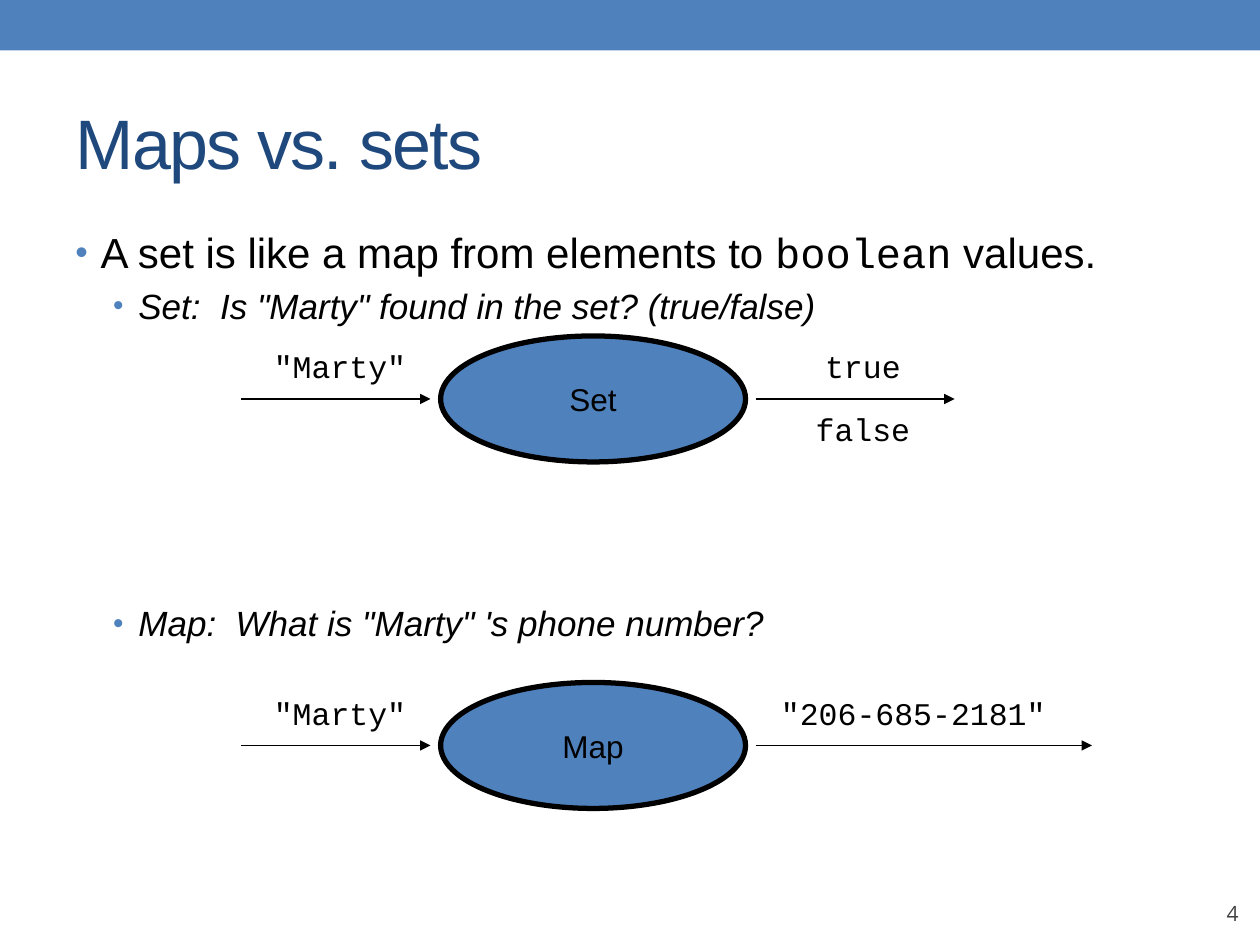
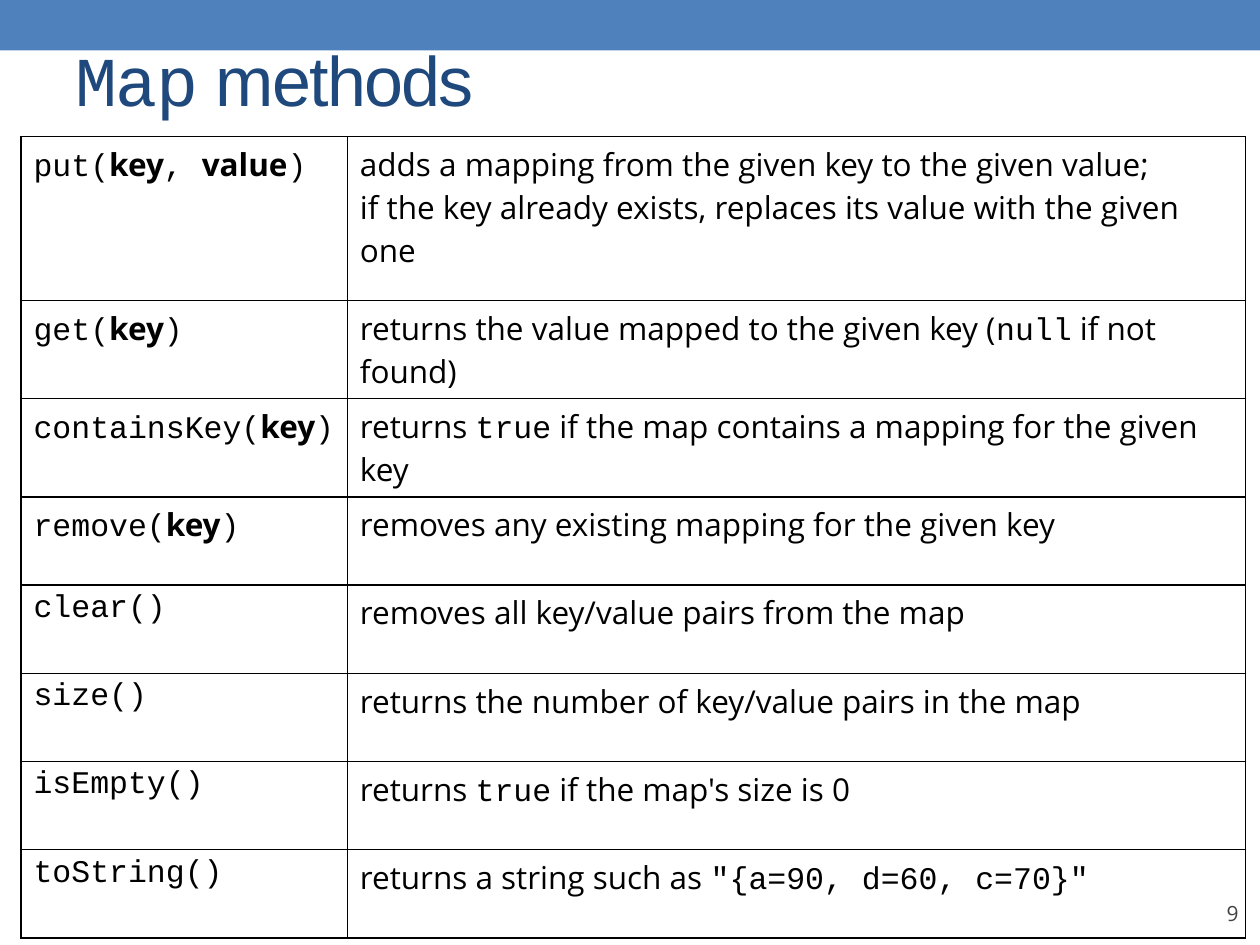
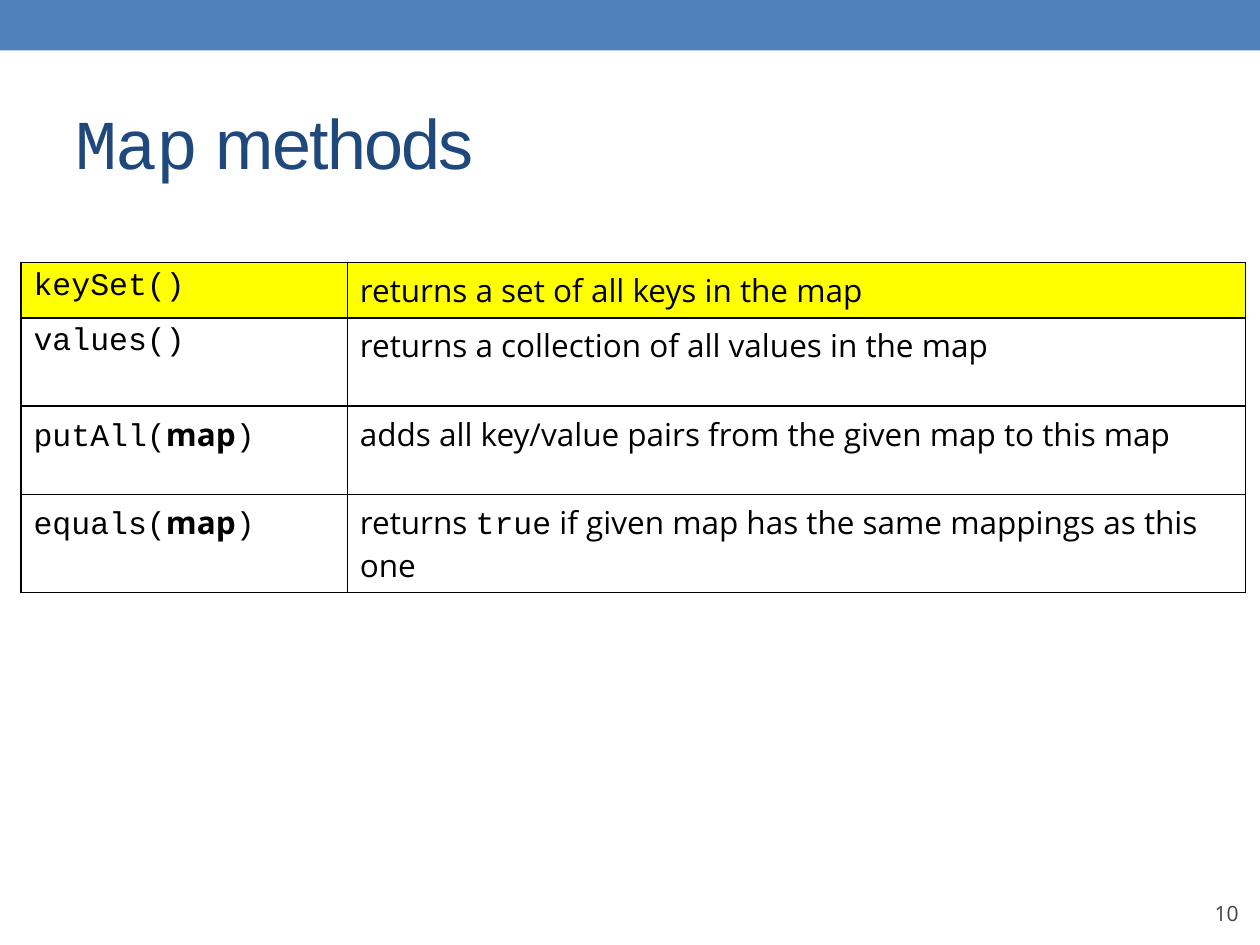
import itertools

import pptx
import pptx.dml.color
import pptx.enum.shapes
import pptx.enum.text
import pptx.oxml
import pptx.oxml.ns
import pptx.util

Inches = pptx.util.Inches
Pt = pptx.util.Pt
RGBColor = pptx.dml.color.RGBColor
SHAPE = pptx.enum.shapes.MSO_SHAPE
ALIGN = pptx.enum.text.PP_ALIGN
ANCHOR = pptx.enum.text.MSO_ANCHOR

BLUE = RGBColor(0x4F, 0x81, 0xBD)
NAVY = RGBColor(0x1F, 0x49, 0x7D)
GRAY = RGBColor(0x42, 0x42, 0x42)
BLACK = RGBColor(0, 0, 0)
YELLOW = RGBColor(0xFF, 0xFF, 0)

PLAIN = {"name": "Arial", "bold": False}
CODE = {"name": "Courier New", "bold": False}
SANS = {"name": "Open Sans", "bold": False}
PARAM = {"name": "Open Sans", "bold": True}

TITLE_BOX = (0.5, 0.58, 9, 1.08)


def inches(box):
    return [Inches(v) for v in box]


def xml(tag, content="", attrs=""):
    ns = pptx.oxml.ns.nsdecls("a")
    return pptx.oxml.parse_xml(f"<a:{tag} {ns} {attrs}>{content}</a:{tag}>")


def solid(color):
    return f'<a:solidFill><a:srgbClr val="{color}"/></a:solidFill>'


def add_runs(p, texts, styles, size, color=BLACK, **extra):
    for text, style in zip(texts, itertools.cycle(styles)):
        for i, line in enumerate(text.split("\n")):
            if i:
                p.add_line_break()
            r = p.add_run()
            r.text = line
            r.font.color.rgb = color
            for key, value in {**style, "size": Pt(size), **extra}.items():
                setattr(r.font, key, value)


def add_text(s, box, text, style, size, color, align, **frame):
    sp = s.shapes.add_textbox(*inches(box))
    tf = sp.text_frame
    for key, value in frame.items():
        setattr(tf, key, value)
    p = tf.paragraphs[0]
    p.alignment = align
    add_runs(p, [text], [style], size, color)
    return p


def add_band(prs, s):
    sp = s.shapes.add_shape(SHAPE.RECTANGLE, 0, 0, prs.slide_width, Inches(0.4))
    sp.shadow.inherit = False
    sp.fill.solid()
    sp.fill.fore_color.rgb = BLUE
    sp.line.fill.background()
    prs.slide_master.shapes._spTree.insert(2, sp._element)


def new_slide(prs, number, title, styles, box=TITLE_BOX):
    s = prs.slides.add_slide(prs.slide_layouts[5])
    sp = s.shapes.title
    sp.left, sp.top, sp.width, sp.height = inches(box)
    sp.text_frame.vertical_anchor = ANCHOR.MIDDLE
    p = sp.text_frame.paragraphs[0]
    p.alignment = ALIGN.LEFT
    add_runs(p, title, styles, 40, NAVY)
    for r in p.runs:
        r.font._element.set("spc", "-100")
    p = add_text(s, (9, 6.95, 0.83, 0.4), str(number), SANS, 12, GRAY, ALIGN.RIGHT,
                 word_wrap=True, vertical_anchor=ANCHOR.BOTTOM,
                 margin_left=0, margin_top=0, margin_right=0, margin_bottom=0)
    p.space_before = Pt(5)
    return s


def add_bullets(s, box, items):
    tf = s.shapes.add_textbox(*inches(box)).text_frame
    tf.word_wrap = True
    for i, (level, before, texts) in enumerate(items):
        p = tf.paragraphs[0] if i == 0 else tf.add_paragraph()
        p.level = level
        p.space_before = Pt(before)
        pPr = p._p.get_or_add_pPr()
        pPr.set("marL", str(Inches(0.2 + 0.3 * level)))
        pPr.set("indent", str(Inches(-0.2)))
        pPr.append(xml("buClr", f'<a:srgbClr val="{BLUE}"/>'))
        pPr.append(xml("buSzPct", attrs='val="85000"'))
        pPr.append(xml("buFont", attrs='typeface="Arial"'))
        pPr.append(xml("buChar", attrs='char="•"'))
        add_runs(p, texts, [PLAIN, CODE], 24 - 4 * level, italic=level > 0)


def add_arrow(s, x, y, length):
    c = s.shapes.add_connector(pptx.enum.shapes.MSO_CONNECTOR.STRAIGHT,
                               *inches((x, y, x + length, y)))
    c.line.color.rgb = BLACK
    c.line.width = Pt(0.75)
    c.line._get_or_add_ln().append(xml("tailEnd", attrs='type="triangle"'))
    c._element.spPr.append(xml("effectLst"))


def add_label(s, center, y, text):
    width = 0.2 + 0.15 * len(text)
    add_text(s, (center - width / 2, y, width, 0.4), text, CODE, 18, BLACK, ALIGN.RIGHT,
             word_wrap=False, auto_size=pptx.enum.text.MSO_AUTO_SIZE.SHAPE_TO_FIT_TEXT)


def add_lookup(s, x, y, name, answers, reach, center):
    sp = s.shapes.add_shape(SHAPE.OVAL, *inches((x + 1.58, y, 2.42, 1)))
    sp.shadow.inherit = False
    sp.fill.solid()
    sp.fill.fore_color.rgb = BLUE
    sp.line.color.rgb = BLACK
    sp.line.width = Pt(3)
    tf = sp.text_frame
    tf.word_wrap = False
    tf.vertical_anchor = ANCHOR.MIDDLE
    p = tf.paragraphs[0]
    p.alignment = ALIGN.CENTER
    add_runs(p, [name], [PLAIN], 18)
    add_arrow(s, x, y + 0.5, 1.5)
    add_label(s, x + 0.78, y + 0.04, '"Marty"')
    add_arrow(s, x + 4.08, y + 0.5, reach)
    for i, answer in enumerate(answers):
        add_label(s, x + center, y + 0.04 + 0.5 * i, answer)


def add_methods(s, x, y, heights, rows, marked=()):
    widths = (2.59, 7.13)
    frame = s.shapes.add_table(len(rows), 2, *inches((x, y, sum(widths), sum(heights))))
    table = frame.table
    table.first_row = table.horz_banding = False
    for column, width in zip(table.columns, widths):
        column.width = Inches(width)
    for i, (row, height) in enumerate(zip(rows, heights)):
        table.rows[i].height = Inches(height)
        for j, styles in enumerate([(CODE, PARAM), (SANS, CODE)]):
            cell = table.cell(i, j)
            add_runs(cell.text_frame.paragraphs[0], row[j], styles, 18)
            for side in "LRTB":
                cell._tc.get_or_add_tcPr().append(
                    xml("ln" + side, solid(BLACK), f'w="{Pt(1)}"'))
            if i in marked:
                cell.fill.solid()
                cell.fill.fore_color.rgb = YELLOW
            else:
                cell.fill.background()


BASIC_METHODS = [
    (["put(", "key", ", ", "value", ")"],
     ["adds a mapping from the given key to the given value;\n"
      "if the key already exists, replaces its value with the given one"]),
    (["get(", "key", ")"],
     ["returns the value mapped to the given key (", "null", " if not found)"]),
    (["containsKey(", "key", ")"],
     ["returns ", "true", " if the map contains a mapping for the given key"]),
    (["remove(", "key", ")"], ["removes any existing mapping for the given key"]),
    (["clear()"], ["removes all key/value pairs from the map"]),
    (["size()"], ["returns the number of key/value pairs in the map"]),
    (["isEmpty()"], ["returns ", "true", " if the map's size is 0"]),
    (["toString()"], ["returns a string such as ", '"{a=90, d=60, c=70}"']),
]
BULK_METHODS = [
    (["keySet()"], ["returns a set of all keys in the map"]),
    (["values()"], ["returns a collection of all values in the map"]),
    (["putAll(", "map", ")"], ["adds all key/value pairs from the given map to this map"]),
    (["equals(", "map", ")"],
     ["returns ", "true", " if given map has the same mappings as this one"]),
]

prs = pptx.Presentation()
prs.slide_width, prs.slide_height = Inches(10), Inches(7.5)

s = new_slide(prs, 4, ["Maps vs. sets"], [PLAIN])
add_band(prs, s)
add_bullets(s, (0.5, 1.75, 9, 5.33), [
    (0, 3, ["A set is like a map from elements to ", "boolean", " values."]),
    (1, 4, ['Set:  Is "Marty" found in the set? (true/false)']),
    (1, 157.5, ['Map:  What is "Marty" \'s phone number?']),
])
add_lookup(s, 23 / 12, 32 / 12, "Set", ["true", "false"], 1.58, 4.93)
add_lookup(s, 23 / 12, 65 / 12, "Map", ['"206-685-2181"'], 2.67, 5.33)

s = new_slide(prs, 9, ["Map", " methods"], [CODE, PLAIN], (0.5, 0, 8.33, 1.25))
add_methods(s, 1 / 6, 13 / 12, [1.3] + [0.78] * 2 + [0.7] * 5, BASIC_METHODS)

s = new_slide(prs, 10, ["Map", " methods"], [CODE, PLAIN])
add_methods(s, 1 / 6, 25 / 12, [0.44, 0.7, 0.7, 0.78], BULK_METHODS, marked=[0])

prs.save("out.pptx")
